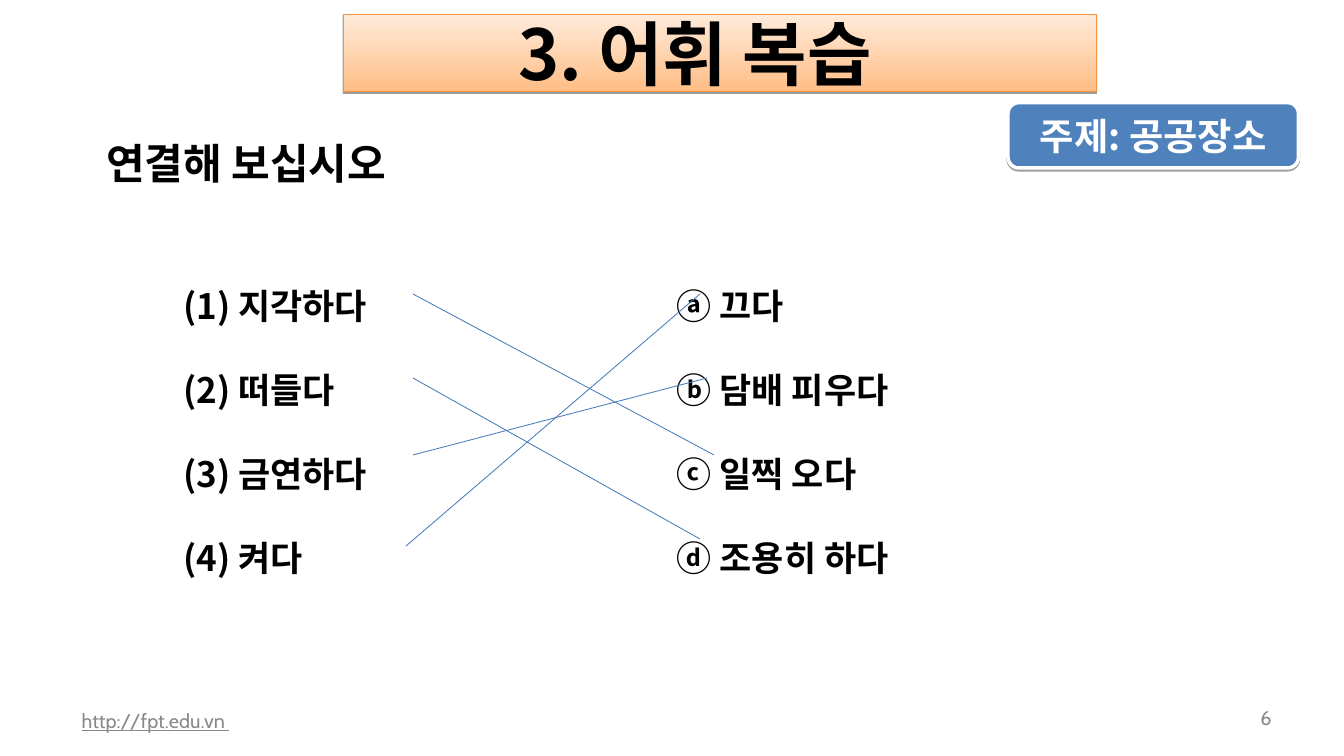
"""Build a Korean vocabulary matching slide."""
from lxml.etree import SubElement
from pptx import Presentation
from pptx.dml.color import RGBColor
from pptx.enum.shapes import MSO_CONNECTOR, MSO_SHAPE
from pptx.enum.text import MSO_ANCHOR, PP_ALIGN
from pptx.oxml import parse_xml
from pptx.oxml.ns import nsdecls, qn
from pptx.util import Pt

KOREAN = "Noto Sans CJK KR"
LATIN = "Cabin"
PAIRS = [
    ("(1) 지각하다", "ⓐ 끄다"),
    ("(2) 떠들다", "ⓑ 담배 피우다"),
    ("(3) 금연하다", "ⓒ 일찍 오다"),
    ("(4) 켜다", "ⓓ 조용히 하다"),
]
ANSWERS = [
    ((354, 252), (612, 390)),
    ((354, 324), (600, 462)),
    ((354, 390), (606, 324)),
    ((348, 468), (600, 252)),
]
ANSWER_TAB = 423
ROW_HEIGHT = 72


def rgb(color):
    return RGBColor.from_string(color)


def write(s, lines, size, color, font=KOREAN, align=PP_ALIGN.LEFT,
          anchor=MSO_ANCHOR.TOP, inset=(7.2, 3.6, 7.2, 3.6), row=None, tab=None):
    tf = s.text_frame
    tf.word_wrap = True
    tf.vertical_anchor = anchor
    tf.margin_left, tf.margin_top, tf.margin_right, tf.margin_bottom = map(Pt, inset)
    for i, line in enumerate(lines):
        p = tf.add_paragraph() if i else tf.paragraphs[0]
        p.alignment = align
        if row:
            p.line_spacing = Pt(row)
        if tab:
            tabs = SubElement(p._p.get_or_add_pPr(), qn("a:tabLst"))
            SubElement(tabs, qn("a:tab"), pos=str(Pt(tab)), algn="l")
        r = p.add_run()
        r.text = line
        p.font.size = r.font.size = Pt(size)
        p.font.name = r.font.name = font
        p.font.bold = r.font.bold = font == KOREAN
        p.font.color.rgb = r.font.color.rgb = rgb(color)
        SubElement(r._r.get_or_add_rPr(), qn("a:ea"), typeface=font)
    return tf


def add_text(slide, box, lines, size, color, **style):
    return write(slide.shapes.add_textbox(*map(Pt, box)), lines, size, color, **style)


def add_panel(slide, kind, box, line, width):
    s = slide.shapes.add_shape(kind, *map(Pt, box))
    s.line.color.rgb = rgb(line)
    s.line.width = Pt(width)
    s.shadow.inherit = False
    return s


def add_shadow(s):
    effects = s._element.spPr.find(qn("a:effectLst"))
    effects.append(parse_xml(
        f'<a:outerShdw {nsdecls("a")} dist="{Pt(1.6)}" dir="5400000" rotWithShape="0">'
        '<a:srgbClr val="000000"><a:alpha val="38000"/></a:srgbClr></a:outerShdw>'))


def main():
    prs = Presentation()
    prs.slide_width, prs.slide_height = Pt(1152), Pt(648)
    slide = prs.slides.add_slide(prs.slide_layouts[6])

    footer = dict(font=LATIN, anchor=MSO_ANCHOR.MIDDLE, inset=(10, 5, 10, 5))
    tf = add_text(slide, (60, 600, 365, 34.5), ["http://fpt.edu.vn "], 17, "898989", **footer)
    tf.paragraphs[0].runs[0].font.underline = True
    add_text(slide, (1044, 600, 56, 29.5), ["6"], 17, "898989", align=PP_ALIGN.RIGHT, **footer)
    add_text(slide, (84, 114.5, 792, 50.5), ["연결해 보십시오"], 36, "000000")

    centred = dict(align=PP_ALIGN.CENTER, anchor=MSO_ANCHOR.MIDDLE)
    title = add_panel(slide, MSO_SHAPE.RECTANGLE, (294, 12, 646, 66.5), "F69240", 0.75)
    title.fill.gradient()
    title.fill.gradient_angle = 90
    for stop, color in zip(title.fill.gradient_stops, ("FFBE86", "FFEBDB")):
        stop.color.rgb = rgb(color)
    add_shadow(title)
    write(title, ["3. 어휘 복습"], 60, "000000", inset=(7.2, 3.6, 50, 3.6), **centred)

    topic = add_panel(slide, MSO_SHAPE.ROUNDED_RECTANGLE, (864, 88, 249, 56), "FFFFFF", 3)
    topic.fill.solid()
    topic.fill.fore_color.rgb = rgb("4F81BD")
    add_shadow(topic)
    write(topic, ["주제: 공공장소"], 32, "FFFFFF", **centred)

    add_text(slide, (150, 204.5, 834, 295), ["\t".join(pair) for pair in PAIRS], 30, "000000",
             row=ROW_HEIGHT, tab=ANSWER_TAB)
    for start, end in ANSWERS:
        s = slide.shapes.add_connector(MSO_CONNECTOR.STRAIGHT, *map(Pt, start + end))
        s.line.color.rgb = rgb("4A7EBB")
        s.line.width = Pt(0.75)
        SubElement(s._element.spPr, qn("a:effectLst"))

    prs.save("out.pptx")


if __name__ == "__main__":
    main()
